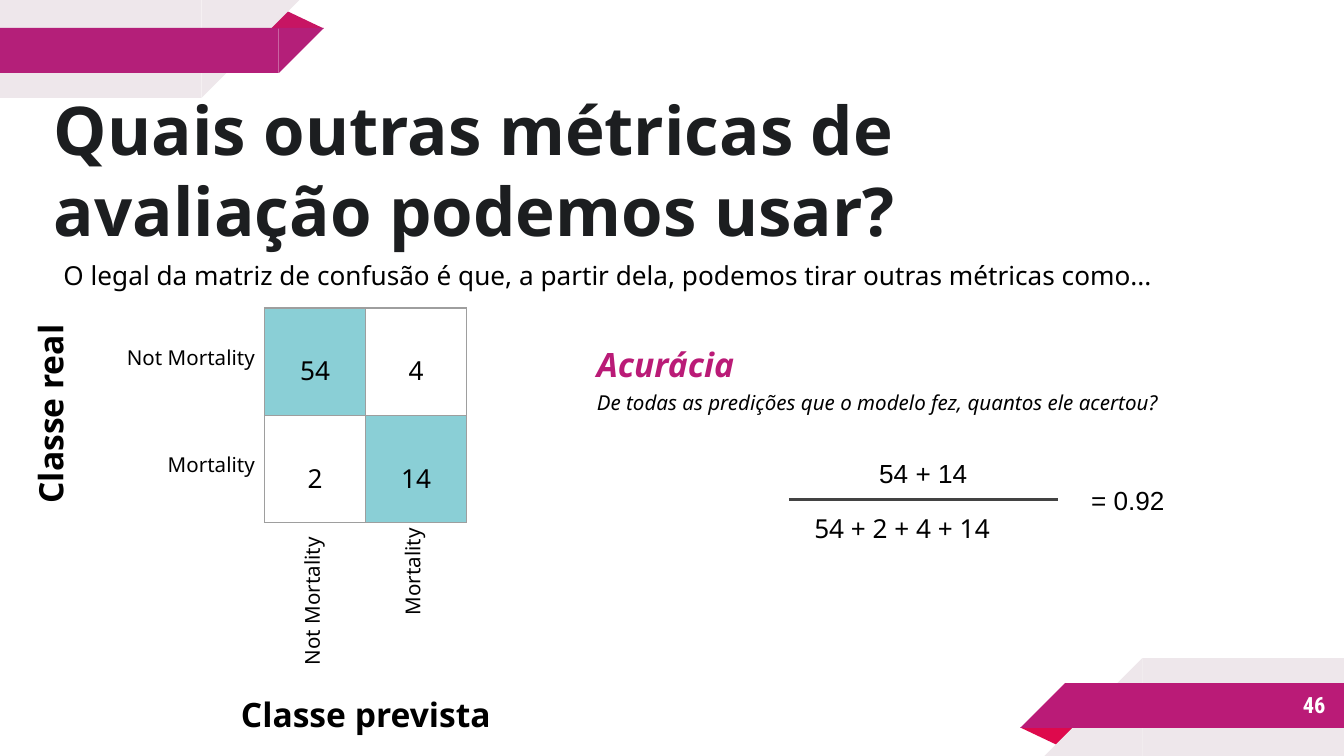
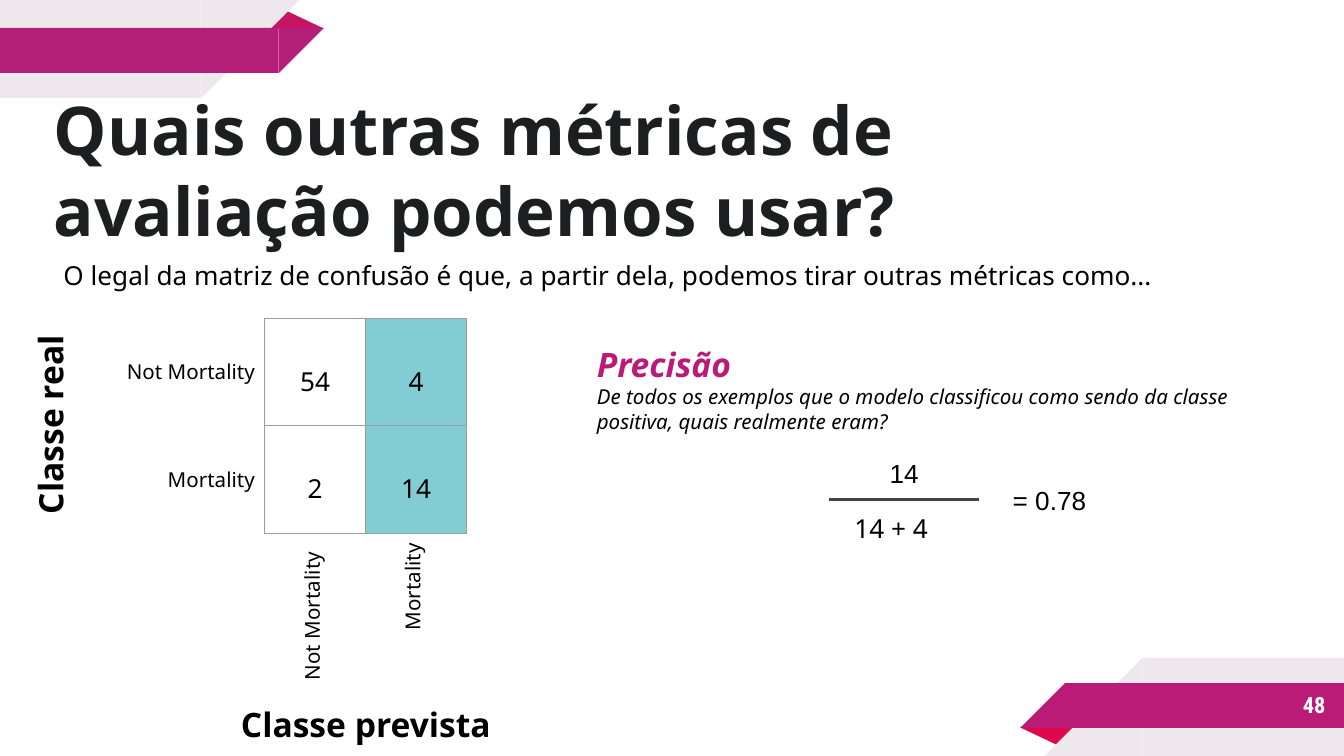
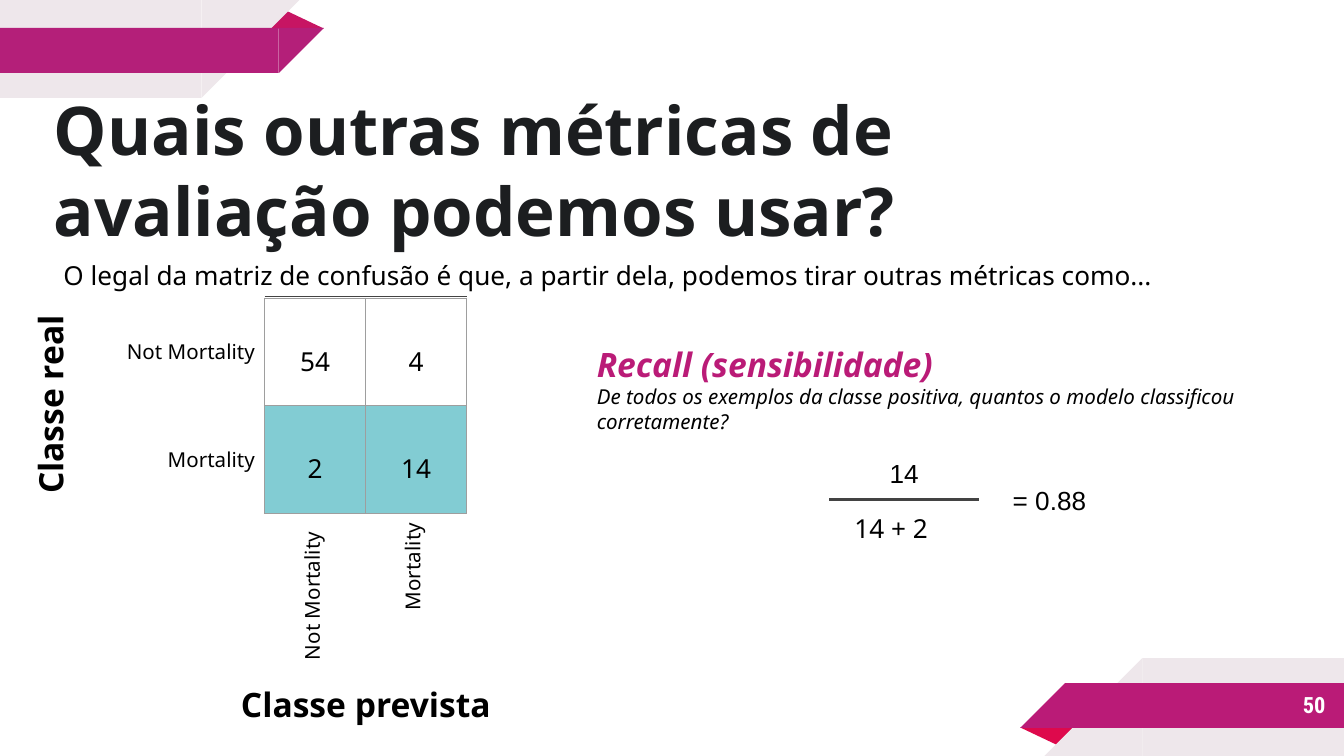
"""Build three slides on metrics read from a confusion matrix."""
from dataclasses import dataclass

from pptx import Presentation
from pptx.dml.color import RGBColor
from pptx.enum import shapes, text
from pptx.oxml import ns, xmlchemy
from pptx.oxml.xmlchemy import OxmlElement
from pptx.util import Cm, Pt

BLACK = RGBColor(0x00, 0x00, 0x00)
WHITE = RGBColor(0xFF, 0xFF, 0xFF)
INK = RGBColor(0x1C, 0x1E, 0x20)
MAGENTA = RGBColor(0xBA, 0x1B, 0x77)
PLUM = RGBColor(0xB4, 0x1F, 0x79)
CRIMSON = RGBColor(0xC7, 0x15, 0x63)
RED = RGBColor(0xDE, 0x09, 0x4C)
PALE = RGBColor(0xEE, 0xE7, 0xEB)
TEAL = RGBColor(0x00, 0x97, 0xA7)
DARK = RGBColor(0x43, 0x43, 0x43)
GRAY = RGBColor(0x9E, 0x9E, 0x9E)
SANS, ARIAL, CONDENSED = "Noto Sans", "Arial", "Roboto Condensed"

PAGE_W, PAGE_H = 25.4, 14.29
MARGIN = 0.18
MATRIX_LEFT, CELL_W, CELL_H = 5.0, 1.91, 2.03
RULE_TOP = 9.44
TITLE = "Quais outras métricas de avaliação podemos usar?"
INTRO = ("O legal da matriz de confusão é que, a partir dela, "
         "podemos tirar outras métricas como...")
COUNTS = ((54, 4), (2, 14))

LEFT, CENTER, RIGHT = text.PP_ALIGN.LEFT, text.PP_ALIGN.CENTER, text.PP_ALIGN.RIGHT
TOP, MIDDLE, BOTTOM = (text.MSO_ANCHOR.TOP, text.MSO_ANCHOR.MIDDLE,
                       text.MSO_ANCHOR.BOTTOM)


@dataclass
class Metric:
    """One metric, its formula and the matrix cells it uses."""
    number: str
    name: str
    question: str
    numerator: str
    denominator: str
    result: str
    used_cells: tuple
    matrix_top: float
    labels_top: float
    rule_left: float = 15.67
    rule_width: float = 2.84
    question_gap: float = 0
    boxed: bool = False
    top_line: bool = False


METRICS = (
    Metric("46", "Acurácia",
           "De todas as predições que o modelo fez, quantos ele acertou?",
           "54 + 14", "54 + 2 + 4 + 14", "= 0.92", ((0, 0), (1, 1)), 5.82, 6.45,
           rule_left=14.91, rule_width=5.08, question_gap=3, boxed=True),
    Metric("48", "Precisão",
           "De todos os exemplos que o modelo classificou como sendo da classe "
           "positiva, quais realmente eram?",
           "14", "14 + 4", "= 0.78", ((0, 1), (1, 1)), 6.02, 6.73),
    Metric("50", "Recall (sensibilidade)",
           "De todos os exemplos da classe positiva, quantos o modelo "
           "classificou corretamente?",
           "14", "14 + 2", "= 0.88", ((1, 0), (1, 1)), 5.64, 6.35, top_line=True),
)


def add_span(para, words, size, font=SANS, color=BLACK, bold=False, italic=False):
    """Add one formatted run to a paragraph."""
    span = para.add_run()
    span.text = words
    span.font.name, span.font.size = font, Pt(size)
    span.font.bold, span.font.italic = bold, italic
    span.font.color.rgb = color


def set_frame(frame, anchor=TOP, margin=MARGIN):
    """Set wrapping, anchor and margins of a text frame."""
    frame.word_wrap = True
    frame.auto_size = text.MSO_AUTO_SIZE.NONE
    frame.vertical_anchor = anchor
    frame.margin_left = frame.margin_right = Cm(margin)
    frame.margin_top = frame.margin_bottom = Cm(margin)


def add_label(page, at, words, size, align=LEFT, anchor=TOP, turn=0,
              margin=MARGIN, **style):
    """Add a text box holding one run and return it."""
    box = page.shapes.add_textbox(*map(Cm, at))
    box.rotation = turn
    set_frame(box.text_frame, anchor, margin)
    para = box.text_frame.paragraphs[0]
    para.alignment = align
    add_span(para, words, size, **style)
    return box


def fill_placeholder(box, at, words, size, anchor, margin, **style):
    """Move a placeholder and give it plain left-aligned text."""
    box.left, box.top, box.width, box.height = map(Cm, at)
    set_frame(box.text_frame, anchor, margin)
    para = box.text_frame.paragraphs[0]
    para.alignment, para.space_before = LEFT, Pt(0)
    for props in box.element.iter(ns.qn("a:pPr")):
        props.set("marL", "0")
        props.set("indent", "0")
        props.append(OxmlElement("a:buNone"))
    add_span(para, words, size, **style)


def add_block(page, kind, at, color, turn=0):
    """Add a filled shape without outline and return it."""
    block = page.shapes.add_shape(kind, *map(Cm, at))
    block.shadow.inherit = False
    block.rotation = turn
    block.fill.solid()
    block.fill.fore_color.rgb = color
    block.line.fill.background()
    return block


def add_bands(page, layout):
    """Draw the corner bands, the lower a half turn of the upper, in the layout."""
    kind = shapes.MSO_SHAPE
    for turn, fold, band in ((0, CRIMSON, PLUM), (180, RED, MAGENTA)):
        pieces = (
            (kind.ISOSCELES_TRIANGLE, (5.03, 0.19, 1.09, 0.35), fold, 0),
            (kind.RECTANGLE, (0, 0, 3.81, 1.85), PALE, 0),
            (kind.RIGHT_TRIANGLE, (3.81, 0, 1.85, 1.85), PALE, 90),
            (kind.RECTANGLE, (0, 0.53, 5.27, 0.85), band, 0),
            (kind.RIGHT_TRIANGLE, (5.27, 0.53, 0.85, 0.85), band, 90),
        )
        for shape, (left, top, width, height), color, angle in pieces:
            if turn:
                left, top = PAGE_W - left - width, PAGE_H - top - height
            block = add_block(page, shape, (left, top, width, height),
                              color, angle + turn)
            if shape == kind.ISOSCELES_TRIANGLE:
                block.adjustments[0] = 0.324
            layout.shapes.element.append(block.element)


def set_alpha(element, percent):
    """Make the solid colours inside an element see-through."""
    for color in element.iter(ns.qn("a:srgbClr")):
        alpha = OxmlElement("a:alpha")
        alpha.set("val", str(percent * 1000))
        color.append(alpha)


def add_borders(props):
    """Put a thin gray border on all sides of a table cell."""
    for index, side in enumerate("LRTB"):
        line = OxmlElement(f"a:ln{side}")
        line.set("w", str(Pt(0.75)))
        fill = OxmlElement("a:solidFill")
        color = OxmlElement("a:srgbClr")
        color.set("val", str(GRAY))
        fill.append(color)
        line.append(fill)
        props.insert(index, line)


def add_rule(page, left, top, width, weight):
    """Add a horizontal dark line."""
    rule = page.shapes.add_connector(shapes.MSO_CONNECTOR.STRAIGHT, Cm(left),
                                     Cm(top), Cm(left + width), Cm(top))
    rule.line.color.rgb, rule.line.width = DARK, Pt(weight)
    rule.element.spPr.append(OxmlElement("a:effectLst"))


def add_highlight(page, row, column, matrix_top):
    """Add a see-through outlined rectangle behind a matrix cell."""
    at = (MATRIX_LEFT + column * CELL_W, matrix_top + row * CELL_H, CELL_W, CELL_H)
    block = add_block(page, shapes.MSO_SHAPE.RECTANGLE, at, TEAL)
    set_alpha(block.element.spPr, 46)
    block.line.color.rgb, block.line.width = DARK, Pt(0.75)


def add_matrix(page, metric):
    """Add the confusion matrix with the used cells highlighted."""
    if metric.boxed:
        for row, column in reversed(metric.used_cells):
            add_highlight(page, row, column, metric.matrix_top)
    if metric.top_line:
        add_rule(page, MATRIX_LEFT, metric.matrix_top - 0.04, 2 * CELL_W, 0.75)
    frame = page.shapes.add_table(2, 2, Cm(MATRIX_LEFT), Cm(metric.matrix_top),
                                  Cm(2 * CELL_W), Cm(2 * CELL_H))
    table = frame.table
    table.first_row = table.horz_banding = False
    for index, (cell, tag) in enumerate(zip(table.iter_cells(),
                                            frame.element.iter(ns.qn("a:tc")))):
        row, column = divmod(index, 2)
        cell.vertical_anchor = MIDDLE
        cell.margin_left = cell.margin_right = Cm(MARGIN)
        cell.margin_top = cell.margin_bottom = Cm(MARGIN)
        para = cell.text_frame.paragraphs[0]
        para.alignment, para.line_spacing = CENTER, 1.5
        add_span(para, str(COUNTS[row][column]), 14)
        props = tag.get_or_add_tcPr()
        if metric.boxed:
            cell.fill.background()
        else:
            used = (row, column) in metric.used_cells
            cell.fill.solid()
            cell.fill.fore_color.rgb = TEAL if used else WHITE
            if used:
                set_alpha(props, 49)
        add_borders(props)


def add_matrix_labels(page, metric):
    """Add the axis names and the class names around the matrix."""
    top, names_top = metric.matrix_top, metric.labels_top
    add_label(page, (4.17, top + 7.11, 5.49, 1.37), "Classe prevista", 18,
              CENTER, bold=True)
    add_label(page, (-0.91, top + 1.32, 3.96, 1.37), "Classe real", 18,
              CENTER, turn=270, bold=True)
    for row, name in enumerate(("Not Mortality", "Mortality")):
        add_label(page, (1.7, names_top + row * CELL_H, 3.3, 0.71), name, 11,
                  RIGHT, BOTTOM)
    add_label(page, (4.5, names_top + 4.5, 2.9, 0.71), "Not Mortality", 11,
              LEFT, BOTTOM, 270)
    add_label(page, (6.25, names_top + 4.6, 3.2, 0.71), "Mortality", 11,
              RIGHT, BOTTOM, 270)


def add_definition(page, metric):
    """Add the metric name and the question it answers."""
    box = add_label(page, (11.1, 6.32, 13.34, 2.44), metric.name, 18,
                    color=MAGENTA, bold=True, italic=True)
    para = box.text_frame.add_paragraph()
    para.space_before = Pt(metric.question_gap)
    add_span(para, metric.question, 11, italic=True)


def add_fraction(page, metric):
    """Add the formula around its fraction line, with the result."""
    left, width = metric.rule_left, metric.rule_width
    add_label(page, (left, 8.46, width, 1.02), metric.numerator, 14, CENTER,
              font=ARIAL)
    add_label(page, (left + 0.3, 9.5, 4.5, 1.37), metric.denominator, 14)
    add_rule(page, left, RULE_TOP, width, 1.5)
    add_label(page, (left + width + 0.45, 8.26, 3.23, 2.39), metric.result, 14,
              anchor=MIDDLE, font=ARIAL)


def add_metric_page(deck, layout, metric):
    """Add one whole metric slide and return it."""
    page = deck.slides.add_slide(layout)
    fill_placeholder(page.shapes.title, (1.02, 1.27, 21.54, 3.45), TITLE, 36,
                     BOTTOM, 0, color=INK, bold=True)
    fill_placeholder(page.placeholders[1], (1.02, 4.72, 23.77, 1.6), INTRO, 14,
                     TOP, MARGIN)
    add_definition(page, metric)
    add_fraction(page, metric)
    add_matrix(page, metric)
    add_matrix_labels(page, metric)
    add_label(page, (21.16, 12.88, 4.14, 0.89), metric.number, 12, RIGHT, MIDDLE,
              margin=0.25, font=CONDENSED, color=WHITE, bold=True)
    return page


def main():
    """Build and save the deck."""
    deck = Presentation()
    deck.slide_width, deck.slide_height = Cm(PAGE_W), Cm(PAGE_H)
    layout = deck.slide_layouts[1]
    pages = [add_metric_page(deck, layout, metric) for metric in METRICS]
    add_bands(pages[0], layout)
    deck.save("out.pptx")


if __name__ == "__main__":
    main()
